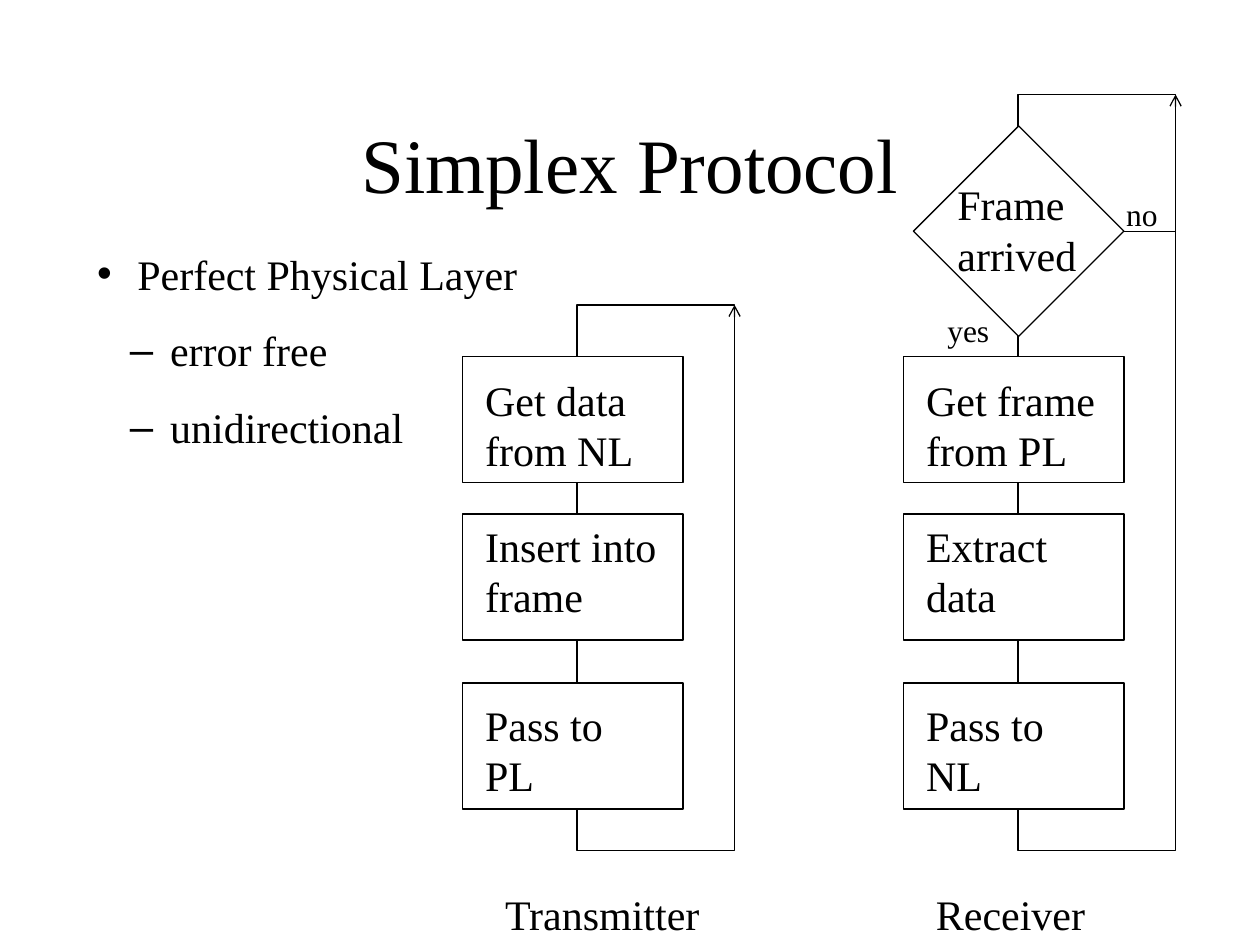
"""Build the Simplex Protocol slide with its transmitter and receiver flowcharts."""
from dataclasses import dataclass

from pptx import Presentation
from pptx.dml.color import RGBColor
from pptx.enum.shapes import MSO_CONNECTOR, MSO_SHAPE
from pptx.enum.text import MSO_ANCHOR, MSO_AUTO_SIZE, PP_ALIGN
from pptx.oxml.ns import qn
from pptx.shapes.autoshape import Shape
from pptx.shapes.connector import Connector
from pptx.slide import Slide
from pptx.text.text import TextFrame, _Paragraph
from pptx.util import Inches, Pt
from lxml.etree import SubElement

BLACK = RGBColor(0x00, 0x00, 0x00)
WHITE = RGBColor(0xFF, 0xFF, 0xFF)
FONT_NAME = "Times New Roman"
LINE_WIDTH = Pt(0.75)
STEP_WIDTH, STEP_HEIGHT = 1.75, 1.0
STEP_TOPS = (2.83, 4.08, 5.42)
STEP_INSETS = (0.14, 0.05, 0.13)
LOOP_OFFSET, LOOP_WIDTH, LOOP_BOTTOM = 0.91, 1.25, 6.75


@dataclass
class Flow:
    name: str
    left: float
    loop_top: float
    arrow_start: float
    label_left: float
    steps: tuple[str, str, str]


@dataclass
class Label:
    text: str
    left: float
    top: float
    width: float
    height: float
    size: int = 24


@dataclass
class Bullet:
    text: str
    level: int
    mark: str
    margin: float


FLOWS = (
    Flow("Transmitter", 3.67, 2.42, 4.0, 3.91,
         ("Get data\nfrom NL", "Insert into\nframe", "Pass to\nPL")),
    Flow("Receiver", 7.17, 0.75, 2.94, 7.33,
         ("Get frame\nfrom PL", "Extract\ndata", "Pass to\nNL")),
)
DECISION_LABELS = (
    Label("Frame arrived", 7.5, 1.37, 1.25, 0.9),
    Label("yes", 7.42, 2.42, 0.6, 0.4, 18),
    Label("no", 8.84, 1.5, 0.5, 0.4, 18),
)
BULLETS = (
    Bullet("Perfect Physical Layer", 0, "•", 0.32),
    Bullet("error free", 1, "–", 0.58),
    Bullet("unidirectional", 1, "–", 0.58),
)
BULLET_HANG = 0.32


def format_text(frame: TextFrame, size: int, **frame_format: object) -> None:
    frame_values = {"word_wrap": True, "auto_size": MSO_AUTO_SIZE.NONE, **frame_format}
    for name, value in frame_values.items():
        setattr(frame, name, value)
    for para in frame.paragraphs:
        for span in para.runs:
            for name, value in {"name": FONT_NAME, "size": Pt(size)}.items():
                setattr(span.font, name, value)
            span.font.color.rgb = BLACK


def place(shape: Shape, left: float, top: float, width: float, height: float) -> None:
    values = {"left": left, "top": top, "width": width, "height": height}
    for name, value in values.items():
        setattr(shape, name, Inches(value))


def add_outline(page: Slide, kind: MSO_SHAPE, left: float, top: float,
                width: float, height: float, filled: bool = True) -> Shape:
    shape = page.shapes.add_shape(
        kind, Inches(left), Inches(top), Inches(width), Inches(height))
    shape.shadow.inherit = False
    if filled:
        shape.fill.solid()
        shape.fill.fore_color.rgb = WHITE
    else:
        shape.fill.background()
    shape.line.color.rgb = BLACK
    shape.line.width = LINE_WIDTH
    return shape


def add_line(page: Slide, start: tuple[float, float], end: tuple[float, float],
             arrow: bool = False) -> Connector:
    line = page.shapes.add_connector(
        MSO_CONNECTOR.STRAIGHT, *map(Inches, start), *map(Inches, end))
    line.line.color.rgb = BLACK
    line.line.width = LINE_WIDTH
    if arrow:
        SubElement(line.line._get_or_add_ln(), qn("a:tailEnd"), type="arrow")
    SubElement(line._element.spPr, qn("a:effectLst"))
    return line


def add_label(page: Slide, label: Label) -> None:
    box = page.shapes.add_textbox(0, 0, 0, 0)
    place(box, label.left, label.top, label.width, label.height)
    box.text_frame.text = label.text
    format_text(box.text_frame, label.size, vertical_anchor=MSO_ANCHOR.MIDDLE)


def add_flow(page: Slide, flow: Flow) -> None:
    loop_left = flow.left + LOOP_OFFSET
    loop_right = loop_left + LOOP_WIDTH
    add_outline(page, MSO_SHAPE.RECTANGLE, loop_left, flow.loop_top,
                LOOP_WIDTH, LOOP_BOTTOM - flow.loop_top, filled=False)
    add_line(page, (loop_right, flow.arrow_start), (loop_right, flow.loop_top), arrow=True)
    for text, top, inset in zip(flow.steps, STEP_TOPS, STEP_INSETS):
        step = add_outline(page, MSO_SHAPE.FLOWCHART_PROCESS,
                           flow.left, top, STEP_WIDTH, STEP_HEIGHT)
        step.text_frame.text = text
        for para in step.text_frame.paragraphs:
            para.alignment = PP_ALIGN.LEFT
        format_text(step.text_frame, 24, vertical_anchor=MSO_ANCHOR.TOP,
                    margin_left=Inches(0.18), margin_right=Inches(0.05),
                    margin_top=Inches(inset), margin_bottom=0)
    add_label(page, Label(flow.name, flow.label_left, 7.0, 1.92, 0.5))


def add_decision(page: Slide) -> None:
    diamond = add_outline(page, MSO_SHAPE.FLOWCHART_DECISION, 7.25, 1.0, 1.67, 1.67)
    branch = add_line(page, (8.92, 1.83), (9.33, 1.83))
    branch.begin_connect(diamond, 3)
    branch.end_y = branch.begin_y
    for label in DECISION_LABELS:
        add_label(page, label)


def set_bullet(para: _Paragraph, bullet: Bullet) -> None:
    properties = para._p.get_or_add_pPr()
    properties.set("marL", str(Inches(bullet.margin)))
    properties.set("indent", str(-Inches(BULLET_HANG)))
    SubElement(properties, qn("a:buChar"), char=bullet.mark)


def fill_placeholders(page: Slide) -> None:
    title, body = page.shapes.title, page.placeholders[1]
    place(title, 0.75, 0.67, 8.5, 1.25)
    title.text_frame.text = "Simplex Protocol"
    title.text_frame.paragraphs[0].alignment = PP_ALIGN.CENTER
    format_text(title.text_frame, 44, vertical_anchor=MSO_ANCHOR.MIDDLE)
    place(body, 0.67, 1.92, 8.75, 1.72)
    frame = body.text_frame
    frame.text = "\n".join(bullet.text for bullet in BULLETS)
    for position, (para, bullet) in enumerate(zip(frame.paragraphs, BULLETS)):
        para.level = bullet.level
        set_bullet(para, bullet)
        para.space_before = Pt(15 if position else 0)
    format_text(frame, 24, vertical_anchor=MSO_ANCHOR.TOP)


def main() -> None:
    deck = Presentation()
    deck.slide_width, deck.slide_height = Inches(10), Inches(7.5)
    page = deck.slides.add_slide(deck.slide_layouts[1])
    fill_placeholders(page)
    for flow in FLOWS:
        add_flow(page, flow)
    add_decision(page)
    deck.save("out.pptx")


if __name__ == "__main__":
    main()
